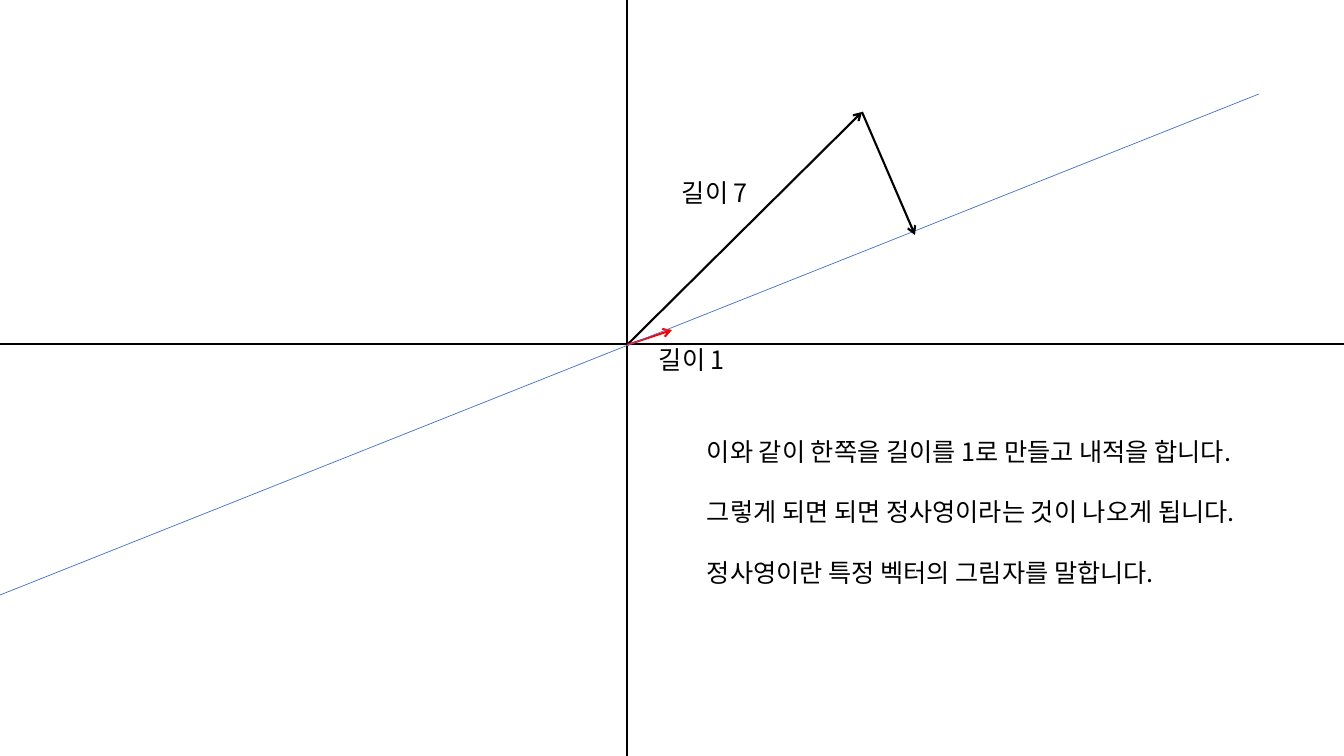
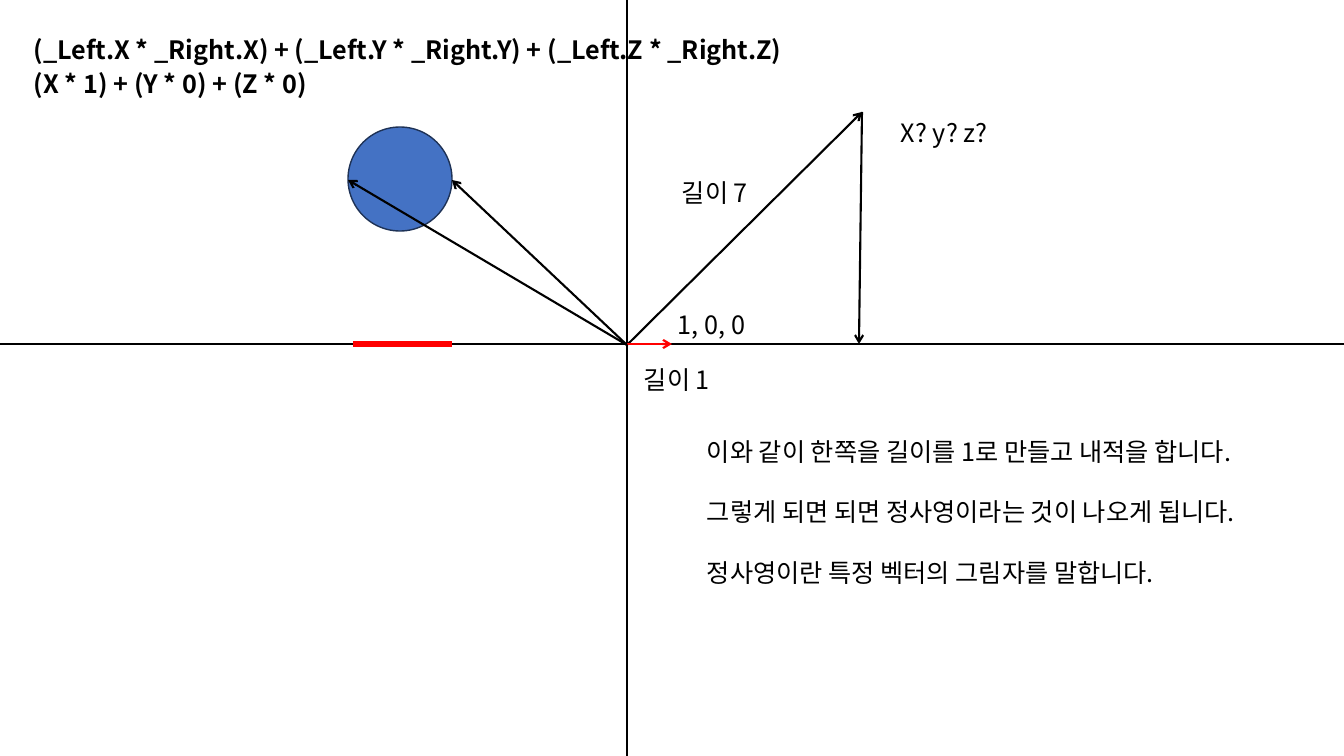
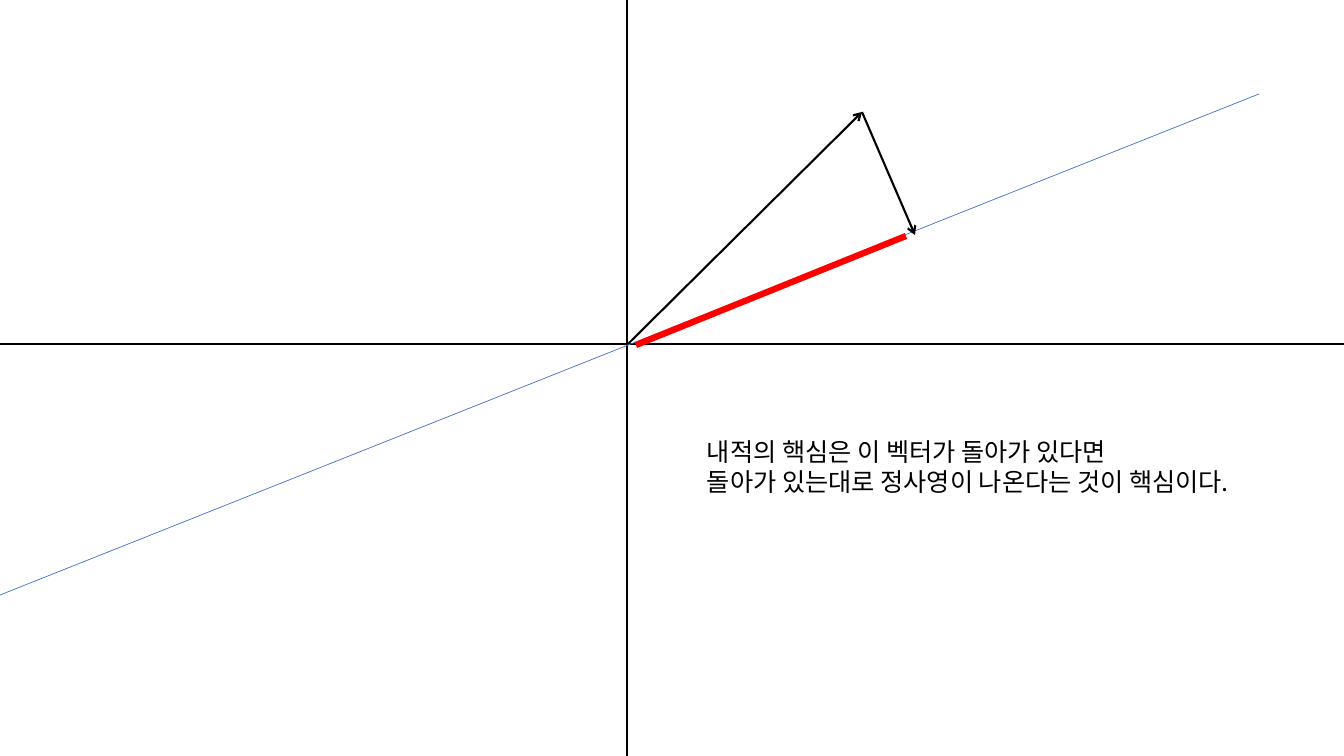
from dataclasses import dataclass

from pptx import Presentation
from pptx.dml.color import RGBColor as RGB
from pptx.enum.shapes import MSO_CONNECTOR as LINE, MSO_SHAPE as SHAPE
from pptx.enum.text import MSO_AUTO_SIZE as FIT
from pptx.oxml.ns import qn
from pptx.util import Pt


@dataclass(frozen=True)
class Theme:
    """Colours, font, type size and line weights of the deck."""
    ink: RGB = RGB(0, 0, 0)
    red: RGB = RGB(255, 0, 0)
    blue: RGB = RGB(0x44, 0x72, 0xC4)
    navy: RGB = RGB(0x1E, 0x32, 0x56)
    font: str = "Noto Sans CJK KR"
    size: float = 18
    para_gap: float = 21.6
    hair: float = 0.5
    outline: float = 1
    line: float = 1.5
    thick: float = 4.5


T = Theme()
WIDTH, HEIGHT = 1344, 756
ORIGIN = (627, 345)
VECTOR_TIP = (862, 112)
PROJECTION = (
    "이와 같이 한쪽을 길이를 1로 만들고 내적을 합니다.",
    "그렇게 되면 되면 정사영이라는 것이 나오게 됩니다.",
    "정사영이란 특정 벡터의 그림자를 말합니다.",
)
SUMMARY = (
    "내적의 핵심은 이 벡터가 돌아가 있다면",
    "돌아가 있는대로 정사영이 나온다는 것이 핵심이다.",
)
FORMULAS = (
    "(_Left.X * _Right.X) + (_Left.Y * _Right.Y) + (_Left.Z * _Right.Z)",
    "(X * 1) + (Y * 0) + (Z * 0)",
)


def px(n):
    """Turn pixels into EMU."""
    return round(n * 914400 / 100.8)


def line(s, start, end, color=T.ink, width=T.line):
    """Draw a straight line and return it."""
    c = s.shapes.add_connector(LINE.STRAIGHT, *map(px, (*start, *end)))
    c.line.color.rgb = color
    c.line.width = Pt(width)
    sp_pr = c._element.spPr
    sp_pr.append(sp_pr.makeelement(qn("a:effectLst"), {}))
    return c


def arrow(s, tip, base=ORIGIN, color=T.ink):
    """Draw a vector whose arrowhead sits at its tip."""
    ln = line(s, tip, base, color).line._get_or_add_ln()
    ln.append(ln.makeelement(qn("a:headEnd"), {"type": "arrow"}))


def text(s, x, y, w, h, lines, bold=False, gap=0, wrap=False):
    """Add a text box with one paragraph per line."""
    tf = s.shapes.add_textbox(px(x), px(y), px(w), px(h)).text_frame
    tf.word_wrap = wrap
    tf.auto_size = FIT.SHAPE_TO_FIT_TEXT
    for i, words in enumerate(lines):
        p = tf.paragraphs[0] if i == 0 else tf.add_paragraph()
        p.space_before = Pt(gap if i else 0)
        r = p.add_run()
        r.text = words
        r.font.name = T.font
        r.font.size = Pt(T.size)
        r.font.bold = bold
        r.font.color.rgb = T.ink


def label(s, x, y, words, w=94):
    """Add a one-line label."""
    text(s, x, y, w, 40, [words])


def circle(s, x, y, d):
    """Add a filled circle."""
    sp = s.shapes.add_shape(SHAPE.OVAL, px(x), px(y), px(d), px(d))
    sp.shadow.inherit = False
    sp.fill.solid()
    sp.fill.fore_color.rgb = T.blue
    sp.line.color.rgb = T.navy
    sp.line.width = Pt(T.outline)


def plane(prs):
    """Add a slide with both axes and the main vector."""
    s = prs.slides.add_slide(prs.slide_layouts[6])
    line(s, (0, 344), (WIDTH, 344))
    line(s, (627, HEIGHT), (627, 0))
    arrow(s, VECTOR_TIP)
    return s


def slope(s):
    """Draw the tilted line and the drop onto it."""
    line(s, (0, 595), (1259, 94), T.blue, T.hair)
    arrow(s, (915, 235), VECTOR_TIP)


def explain(s):
    """Add the projection text and the vector length."""
    text(s, 697, 431, 615, 163, PROJECTION, gap=T.para_gap)
    label(s, 672, 172, "길이 7")


def tilted_slide(prs):
    """Build the projection onto a tilted unit vector."""
    s = plane(prs)
    explain(s)
    arrow(s, (672, 330), color=T.red)
    label(s, 649, 339, "길이 1")
    slope(s)


def axis_slide(prs):
    """Build the projection onto the horizontal axis."""
    s = plane(prs)
    explain(s)
    arrow(s, (672, 344), (627, 344), T.red)
    label(s, 634, 359, "길이 1")
    label(s, 891, 112, "X? y? z? ", 121)
    label(s, 668, 304, "1, 0, 0", 92)
    for i, formula in enumerate(FORMULAS):
        text(s, 24, 29 + 34 * i, 1093, 40, [formula], bold=True, wrap=True)
    arrow(s, (859, 344), VECTOR_TIP)
    circle(s, 348, 127, 104)
    for x in (452, 348):
        arrow(s, (x, 180))
    line(s, (353, 344), (452, 344), T.red, T.thick)


def summary_slide(prs):
    """Build the projected shadow on the tilted line."""
    s = plane(prs)
    slope(s)
    line(s, (636, 345), (906, 236), T.red, T.thick)
    text(s, 697, 431, 600, 72, SUMMARY)


def main():
    """Build and save the deck."""
    prs = Presentation()
    prs.slide_width, prs.slide_height = px(WIDTH), px(HEIGHT)
    tilted_slide(prs)
    axis_slide(prs)
    summary_slide(prs)
    prs.save("out.pptx")


main()
